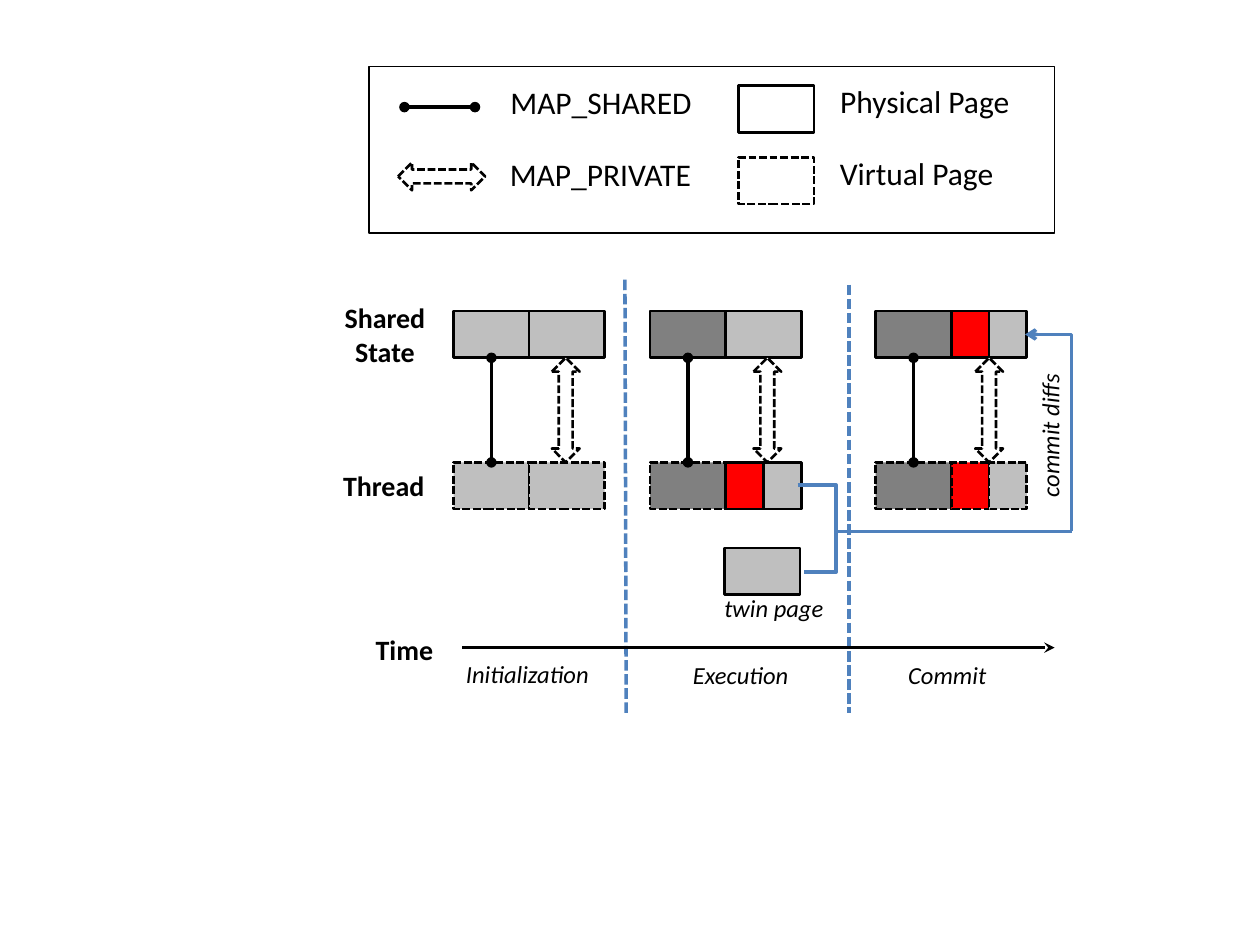
from lxml.etree import SubElement
from pptx import Presentation
from pptx.dml.color import RGBColor
from pptx.enum.dml import MSO_LINE
from pptx.enum.shapes import MSO_CONNECTOR as CONN, MSO_SHAPE as SHAPE
from pptx.enum.text import MSO_AUTO_SIZE, PP_ALIGN
from pptx.oxml.ns import qn
from pptx.util import Inches, Pt

COLORS = {"black": "000000", "white": "FFFFFF", "light": "BFBFBF",
          "dark": "808080", "red": "FF0000", "blue": "4F81BD"}
FONT = "Calibri"
PAGE_W, PAGE_H = 0.6, 0.37
SHARED_Y, THREAD_Y = 2.47, 3.67
LINK_Y = SHARED_Y + PAGE_H
ARROW_W = 0.22

# Each phase: left edge, shared pages, thread pages, dashed thread pages,
# and the centre of the private mapping arrow.
# A page is (colour, width in pages).
PLAIN = [("light", 1), ("light", 1)]
SHARED_WRITE = [("dark", 1), ("light", 1)]
DIFF = [("dark", 1), ("red", 0.5), ("light", 0.5)]
PHASES = [
    (3.6, PLAIN, PLAIN, 2, 4.49),
    (5.16, SHARED_WRITE, DIFF, 1, 6.09),
    (6.95, DIFF, DIFF, 3, 7.85),
]
DIVIDERS = [(4.96, 2.22, 4.97, 5.66), (6.74, 2.26, 6.74, 5.66)]

# Text, box, style
LABELS = [
    ("Shared\nState", (2.63, 2.34, 0.85, 0.64), "row"),
    ("Thread", (2.62, 3.67, 0.85, 0.37), "row"),
    ("Time", (2.76, 4.97, 0.9, 0.37), "row"),
    ("Initialization", (3.6, 5.18, 1.23, 0.34), "note"),
    ("Execution", (5.4, 5.19, 1.01, 0.34), "note"),
    ("Commit", (7.11, 5.19, 0.87, 0.34), "note"),
    ("twin page", (5.65, 4.66, 1.04, 0.34), "note"),
    ("commit diffs", (7.72, 3.26, 1.23, 0.34), "upright"),
    ("MAP_SHARED", (4.04, 0.61, 1.46, 0.4), "legend"),
    ("MAP_PRIVATE", (4.04, 1.18, 1.45, 0.4), "legend"),
    ("Physical Page", (6.66, 0.6, 1.36, 0.4), "legend"),
    ("Virtual Page", (6.66, 1.17, 1.23, 0.4), "legend"),
]
NOTE = {"size": 14, "italic": True, "align": PP_ALIGN.LEFT}
STYLES = {
    "row": {"size": 16, "bold": True},
    "note": NOTE,
    "upright": {**NOTE, "rotation": 270},
    "legend": {"size": 18, "inset": 0},
}

prs = Presentation()
prs.slide_width, prs.slide_height = Inches(10), Inches(7.5)
shapes = prs.slides.add_slide(prs.slide_layouts[6]).shapes


def rgb(name):
    """Return a named colour."""
    return RGBColor.from_string(COLORS[name])


def add_box(kind, x, y, w, h, fill="white", dashed=False, weight=1.5):
    """Add an outlined preset shape; fill None leaves it hollow."""
    sp = shapes.add_shape(kind, *map(Inches, (x, y, w, h)))
    sp.shadow.inherit = False
    if fill:
        sp.fill.solid()
        sp.fill.fore_color.rgb = rgb(fill)
    else:
        sp.fill.background()
    sp.line.color.rgb = rgb("black")
    sp.line.width = Pt(weight)
    if dashed:
        sp.line.dash_style = MSO_LINE.SQUARE_DOT
    return sp


def add_line(x1, y1, x2, y2, color="black", kind=CONN.STRAIGHT,
             dashed=False, head=None, tail=None):
    """Add a 2 pt connector with optional line ends."""
    line = shapes.add_connector(kind, *map(Inches, (x1, y1, x2, y2)))
    line.line.color.rgb = rgb(color)
    line.line.width = Pt(2)
    if dashed:
        line.line.dash_style = MSO_LINE.SQUARE_DOT
    ln = line.line._get_or_add_ln()
    for tag, end in (("a:headEnd", head), ("a:tailEnd", tail)):
        if end:
            SubElement(ln, qn(tag)).set("type", end)
    SubElement(line._element.spPr, qn("a:effectLst"))
    return line


def add_label(text, box, size, bold=False, italic=False,
              align=PP_ALIGN.CENTER, inset=0.1, rotation=0):
    """Add a text label that keeps to its own line breaks."""
    sp = shapes.add_textbox(*map(Inches, box))
    sp.rotation = rotation
    tf = sp.text_frame
    tf.text = text
    tf.word_wrap = False
    tf.auto_size = MSO_AUTO_SIZE.SHAPE_TO_FIT_TEXT
    tf.margin_left = tf.margin_right = Inches(inset)
    for p in tf.paragraphs:
        p.alignment = align
        for r in p.runs:
            r.font.name, r.font.size = FONT, Pt(size)
            r.font.bold, r.font.italic = bold, italic
            r.font.color.rgb = rgb("black")


def add_pages(x, y, pages, dashed_count=0):
    """Add a row of adjoining pages, the first ones dashed."""
    for i, (fill, share) in enumerate(pages):
        add_box(SHAPE.RECTANGLE, x, y, share * PAGE_W, PAGE_H, fill,
                dashed=i < dashed_count)
        x += share * PAGE_W


# Legend
add_box(SHAPE.RECTANGLE, 2.93, 0.53, 5.44, 1.32, None, weight=0.75)
add_line(3.21, 0.85, 3.77, 0.85, head="oval", tail="oval")
add_box(SHAPE.LEFT_RIGHT_ARROW, 3.16, 1.29, 0.69, ARROW_W, dashed=True)
for y, dashed in ((0.68, False), (1.25, True)):
    add_box(SHAPE.RECTANGLE, 5.86, y, PAGE_W, PAGE_H, dashed=dashed)

# Phases
for divider in DIVIDERS:
    add_line(*divider, color="blue", dashed=True)
for x, shared, thread, dashed_count, arrow_x in PHASES:
    add_pages(x, SHARED_Y, shared)
    add_pages(x, THREAD_Y, thread, dashed_count)
    add_box(SHAPE.UP_DOWN_ARROW, arrow_x - ARROW_W / 2, LINK_Y,
            ARROW_W, THREAD_Y - LINK_Y, dashed=True)
    mid = x + PAGE_W / 2
    add_line(mid, LINK_Y, mid, THREAD_Y, head="oval", tail="oval")
add_pages(5.75, 4.35, [("light", 1)])

# Diff of thread page and twin page, committed to the shared state
bracket = add_line(6.33, 3.85, 6.38, 4.54, "blue", CONN.ELBOW)
guides = bracket._element.spPr.prstGeom.get_or_add_avLst()
guide = SubElement(guides, qn("a:gd"))
guide.set("name", "adj1")
guide.set("fmla", "val 613200")
add_line(6.65, 4.22, 8.51, 4.22, "blue")
commit = add_line(7.54, 3.62, 9.1, 3.25, "blue", CONN.ELBOW, tail="arrow")
commit._element.spPr.prstGeom.set("prst", "bentConnector2")
commit._element.spPr.xfrm.set("rot", str(270 * 60000))

add_line(3.67, 5.14, 8.37, 5.14, tail="stealth")
for text, box, style in LABELS:
    add_label(text, box, **STYLES[style])

prs.save("out.pptx")
